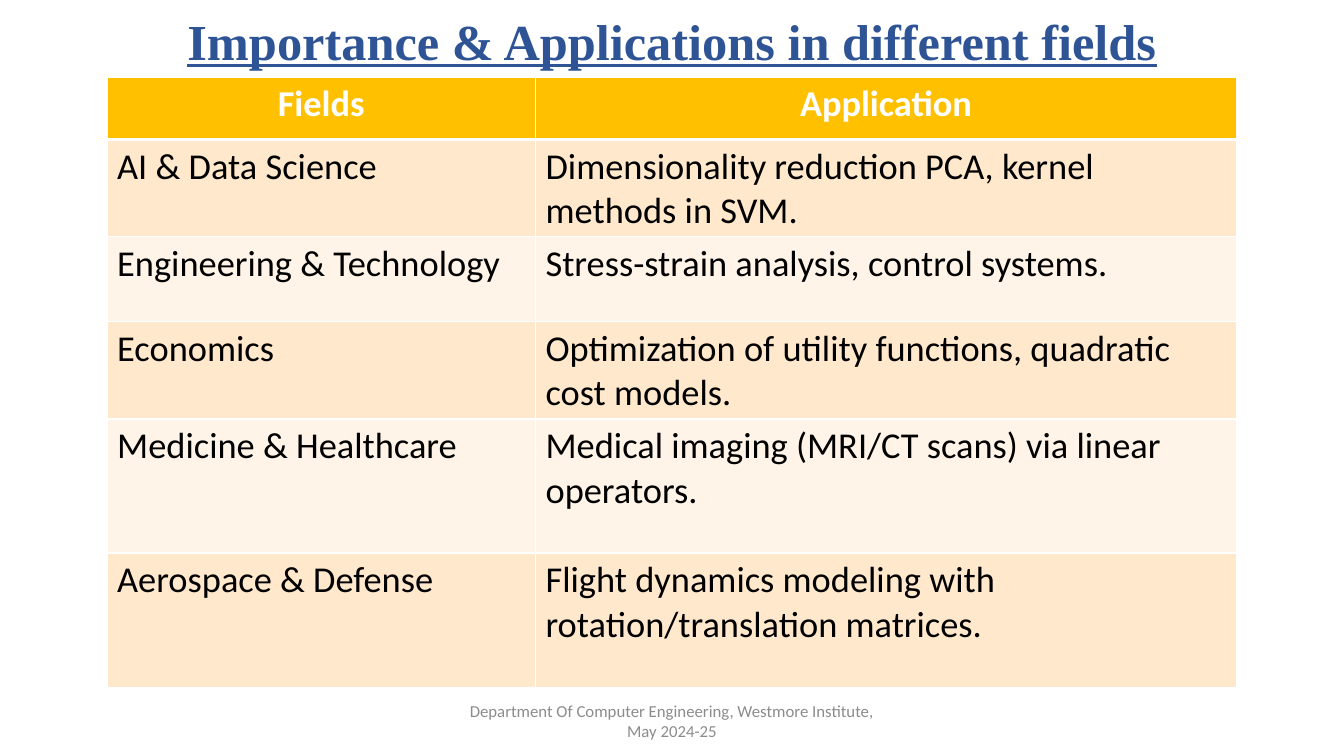
from lxml.etree import SubElement
from pptx import Presentation
from pptx.dml.color import RGBColor
from pptx.enum.text import MSO_ANCHOR, PP_ALIGN
from pptx.oxml.ns import qn
from pptx.util import Pt

WHITE = RGBColor(0xFF, 0xFF, 0xFF)
BLACK = RGBColor(0, 0, 0)
BLUE = RGBColor(0x2F, 0x54, 0x96)
GRAY = RGBColor(0x8C, 0x8C, 0x8C)
GOLD = RGBColor(0xFF, 0xC0, 0x00)
PEACH = RGBColor(0xFF, 0xE8, 0xCC)
CREAM = RGBColor(0xFF, 0xF4, 0xE7)

COLUMN_WIDTHS = [306, 501]
ROW_HEIGHTS = [44.6, 66.2, 60.5, 66.2, 95.8, 95.8]
APPLICATIONS = [
    ("Fields", "Application"),
    ("AI & Data Science", "Dimensionality reduction PCA, kernel methods in SVM."),
    ("Engineering & Technology", "Stress-strain analysis, control systems."),
    ("Economics", "Optimization of utility functions, quadratic cost models."),
    ("Medicine & Healthcare", "Medical imaging (MRI/CT scans) via linear operators."),
    ("Aerospace & Defense", "Flight dynamics modeling with rotation/translation matrices."),
]


def format_text(text_frame, font_name, size, color, align, bold=False, underline=None):
    for paragraph in text_frame.paragraphs:
        paragraph.alignment = align
        for run in paragraph.runs:
            run.font.name = font_name
            run.font.size = Pt(size)
            run.font.color.rgb = color
            run.font.bold = bold
            run.font.underline = underline


def add_text(slide, box, text, anchor, top_inset=3.6):
    shape = slide.shapes.add_textbox(*map(Pt, box))
    text_frame = shape.text_frame
    text_frame.word_wrap = True
    text_frame.vertical_anchor = anchor
    text_frame.margin_top = Pt(top_inset)
    text_frame.text = text
    return text_frame


def add_borders(cell, color, bottom_width):
    properties = cell._tc.get_or_add_tcPr()
    for side, width in (("L", 1), ("R", 1), ("T", 1), ("B", bottom_width)):
        line = SubElement(properties, qn(f"a:ln{side}"), w=str(Pt(width)))
        fill = SubElement(line, qn("a:solidFill"))
        SubElement(fill, qn("a:srgbClr"), val=str(color))


def format_cell(cell, text, row_index):
    is_header = row_index == 0
    cell.text = text
    add_borders(cell, WHITE, 3 if is_header else 1)
    cell.fill.solid()
    if is_header:
        cell.fill.fore_color.rgb = GOLD
        format_text(cell.text_frame, "Calibri", 26, WHITE, PP_ALIGN.CENTER, bold=True)
    else:
        cell.fill.fore_color.rgb = PEACH if row_index % 2 else CREAM
        format_text(cell.text_frame, "Calibri", 26, BLACK, PP_ALIGN.LEFT)


def add_application_table(slide):
    frame = slide.shapes.add_table(
        len(APPLICATIONS), len(COLUMN_WIDTHS),
        Pt(76.5), Pt(55), Pt(sum(COLUMN_WIDTHS)), Pt(sum(ROW_HEIGHTS)),
    )
    table = frame.table
    for column, width in zip(table.columns, COLUMN_WIDTHS):
        column.width = Pt(width)
    for row_index, (height, texts) in enumerate(zip(ROW_HEIGHTS, APPLICATIONS)):
        row = table.rows[row_index]
        row.height = Pt(height)
        for cell, text in zip(row.cells, texts):
            format_cell(cell, text, row_index)


def main():
    presentation = Presentation()
    presentation.slide_width = Pt(960)
    presentation.slide_height = Pt(540)
    slide = presentation.slides.add_slide(presentation.slide_layouts[6])

    footer = add_text(
        slide, (318, 500.5, 324, 28.8),
        "Department Of Computer Engineering, Westmore Institute,\nMay 2024-25",
        MSO_ANCHOR.MIDDLE,
    )
    format_text(footer, "Calibri", 12, GRAY, PP_ALIGN.CENTER)

    title = add_text(
        slide, (0, 0, 960, 203.8), "Importance & Applications in different fields",
        MSO_ANCHOR.TOP, top_inset=7,
    )
    format_text(title, "Times New Roman", 36, BLUE, PP_ALIGN.CENTER, bold=True, underline=True)

    add_application_table(slide)
    presentation.save("out.pptx")


if __name__ == "__main__":
    main()
